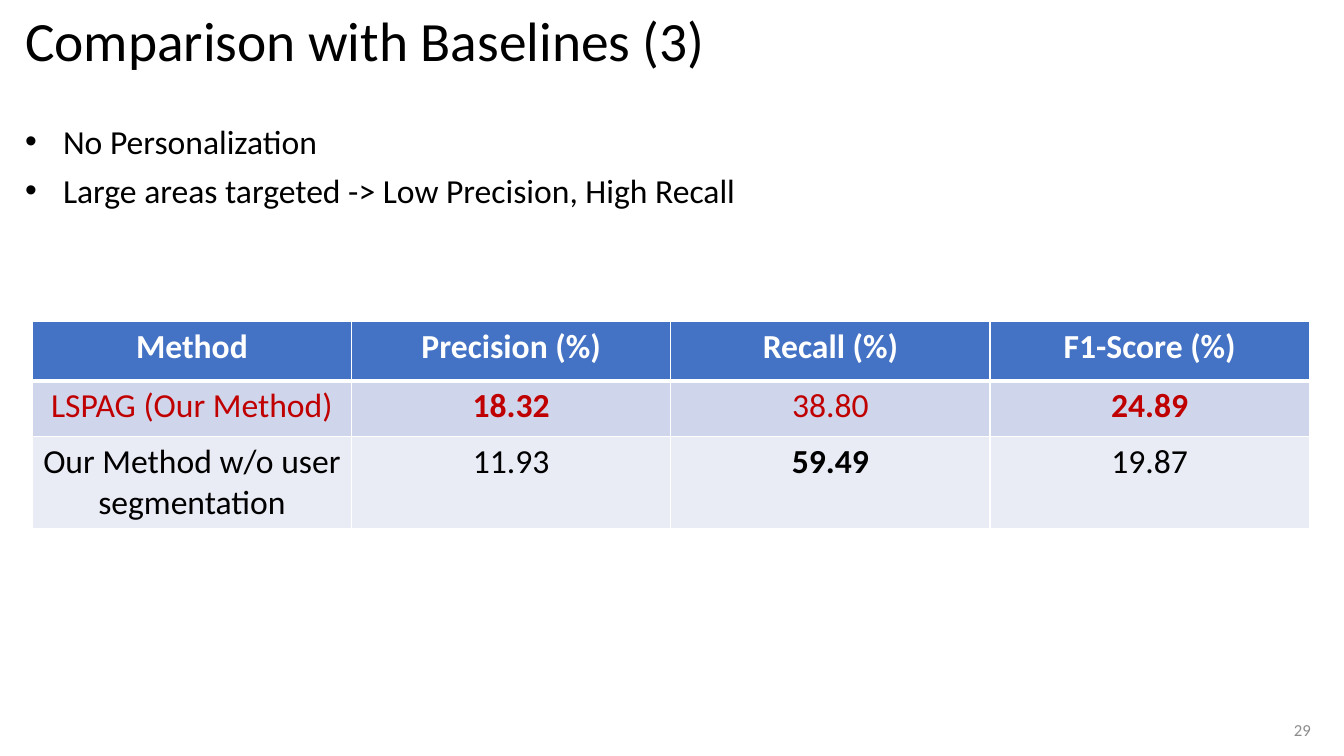
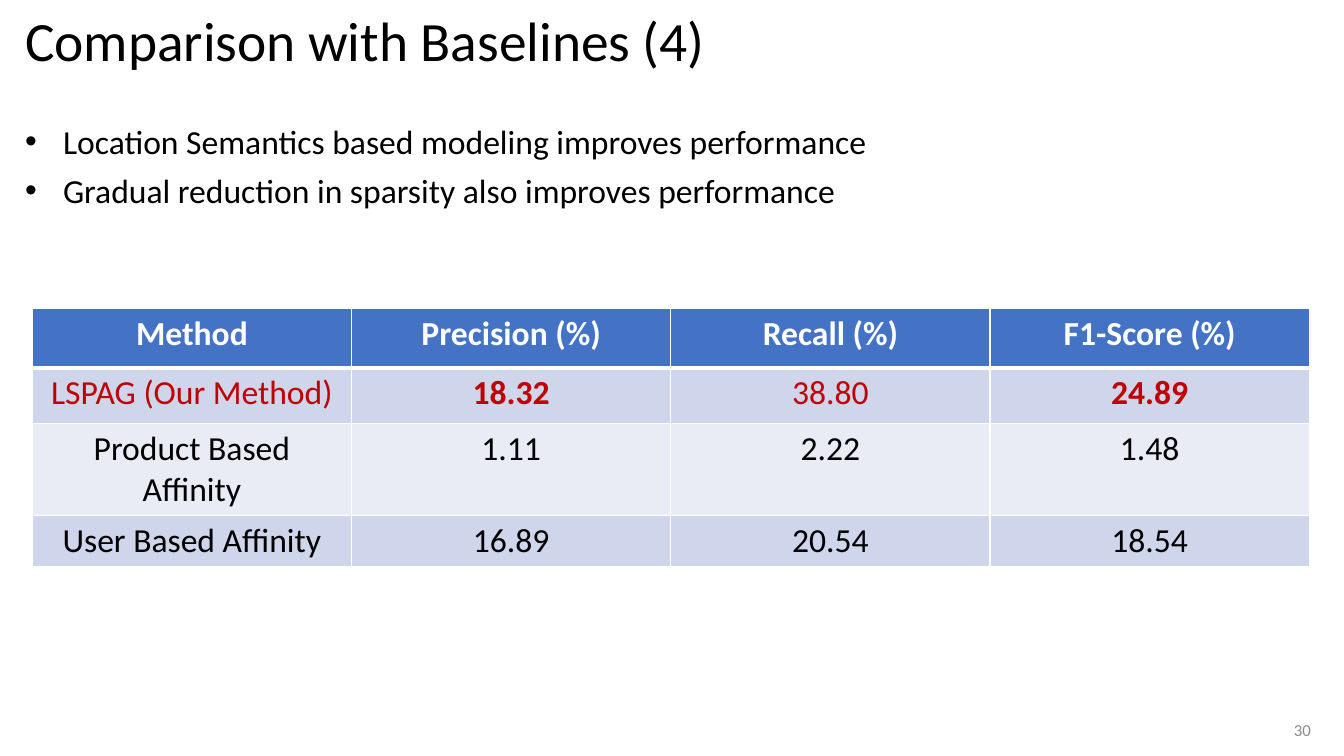
import pptx
import pptx.util
import pptx.dml.color
import pptx.enum.text
import pptx.oxml

COLORS = {
    "text": "000000",
    "header": "4472C4",
    "band_dark": "CFD5EA",
    "band_light": "E9EBF5",
    "line": "FFFFFF",
    "ours": "C00000",
    "page_number": "8C8C8C",
}
FONT = "Calibri"
ALIGN = pptx.enum.text.PP_ALIGN
MIDDLE = pptx.enum.text.MSO_ANCHOR.MIDDLE

deck = pptx.Presentation()
deck.slide_width = pptx.util.Inches(13.333)
deck.slide_height = pptx.util.Inches(7.5)

# Grid: 150 rows over the slide height, with square cells
UNIT = deck.slide_height / 150
TITLE_BOX = (3, 2.8, 260, 11.8)
POINTS_BOX = (3, 23, 260, 19.8)
NUMBER_BOX = (253.6, 140.8, 9.6, 8)
TABLE_LEFT, TABLE_WIDTH = 6.4, 253.4
INDENT = 7.5

HEADINGS = ["Method", "Precision (%)", "Recall (%)", "F1-Score (%)"]
OURS = ["LSPAG (Our Method)", "18.32", "38.80", "24.89"]

SLIDES = [
    {
        "title": "Comparison with Baselines (3)",
        "number": "29",
        "points": ["No Personalization",
                   "Large areas targeted -> Low Precision, High Recall"],
        "baselines": [["Our Method w/o user segmentation", "11.93", "59.49", "19.87"]],
        "bold": {"18.32", "24.89", "59.49"},
        "table_top": 63.8,
        "row_heights": [11.8, 11, 18.2],
    },
    {
        "title": "Comparison with Baselines (4)",
        "number": "30",
        "points": ["Location Semantics based modeling improves performance",
                   "Gradual reduction in sparsity also improves performance"],
        "baselines": [["Product Based Affinity", "1.11", "2.22", "1.48"],
                      ["User Based Affinity", "16.89", "20.54", "18.54"]],
        "bold": {"18.32", "24.89"},
        "table_top": 61.2,
        "row_heights": [11.8, 11, 18.2, 10.2],
    },
]


def grid(*cells):
    return [round(cell * UNIT) for cell in cells]


def style(paragraph, size, color, align=ALIGN.LEFT, bold=False):
    paragraph.alignment = align
    paragraph.font.name = FONT
    paragraph.font.size = pptx.util.Pt(size)
    paragraph.font.bold = bold
    paragraph.font.color.rgb = pptx.dml.color.RGBColor.from_string(COLORS[color])


for content in SLIDES:
    slide = deck.slides.add_slide(deck.slide_layouts[1])

    # Title
    title = slide.shapes.title
    title.left, title.top, title.width, title.height = grid(*TITLE_BOX)
    title.text_frame.text = content["title"]
    title.text_frame.vertical_anchor = MIDDLE
    title.text_frame.auto_size = pptx.enum.text.MSO_AUTO_SIZE.NONE
    title.text_frame.paragraphs[0].line_spacing = 0.9
    style(title.text_frame.paragraphs[0], 39.6, "text")

    # Key points
    points = slide.placeholders[1]
    points.left, points.top, points.width, points.height = grid(*POINTS_BOX)
    points.text_frame.text = "\n".join(content["points"])
    points.text_frame.auto_size = pptx.enum.text.MSO_AUTO_SIZE.NONE
    indent = grid(INDENT)[0]
    for point in points.text_frame.paragraphs:
        properties = point._p.get_or_add_pPr()
        properties.set("marL", str(indent))
        properties.set("indent", str(-indent))
        point.space_before = pptx.util.Pt(0)
        point.space_after = pptx.util.Pt(6)
        style(point, 24, "text")

    # Results table
    rows = [HEADINGS, OURS] + content["baselines"]
    heights = content["row_heights"]
    results = slide.shapes.add_table(
        len(rows), len(HEADINGS),
        *grid(TABLE_LEFT, content["table_top"], TABLE_WIDTH, sum(heights))).table
    for column in results.columns:
        column.width = grid(TABLE_WIDTH / len(HEADINGS))[0]
    for r, values in enumerate(rows):
        results.rows[r].height = grid(heights[r])[0]
        band = "header" if r == 0 else "band_dark" if r % 2 else "band_light"
        ink = {0: "line", 1: "ours"}.get(r, "text")
        edges = {"L": 1, "R": 1, "T": 3 if r == 1 else 1, "B": 3 if r == 0 else 1}
        for c, value in enumerate(values):
            cell = results.cell(r, c)
            cell.text = value
            style(cell.text_frame.paragraphs[0], 24, ink, ALIGN.CENTER,
                  r == 0 or value in content["bold"])
            for side, points_wide in edges.items():
                cell._tc.get_or_add_tcPr().append(pptx.oxml.parse_xml(
                    f'<a:ln{side} xmlns:a="http://schemas.openxmlformats.org/drawingml/2006/main"'
                    f' w="{pptx.util.Pt(points_wide)}"><a:solidFill>'
                    f'<a:srgbClr val="{COLORS["line"]}"/></a:solidFill></a:ln{side}>'))
            cell.fill.solid()
            cell.fill.fore_color.rgb = pptx.dml.color.RGBColor.from_string(COLORS[band])

    # Page number
    number = slide.shapes.add_textbox(*grid(*NUMBER_BOX)).text_frame
    number.text = content["number"]
    number.word_wrap = True
    number.vertical_anchor = MIDDLE
    style(number.paragraphs[0], 12, "page_number", ALIGN.CENTER)

deck.save("out.pptx")
